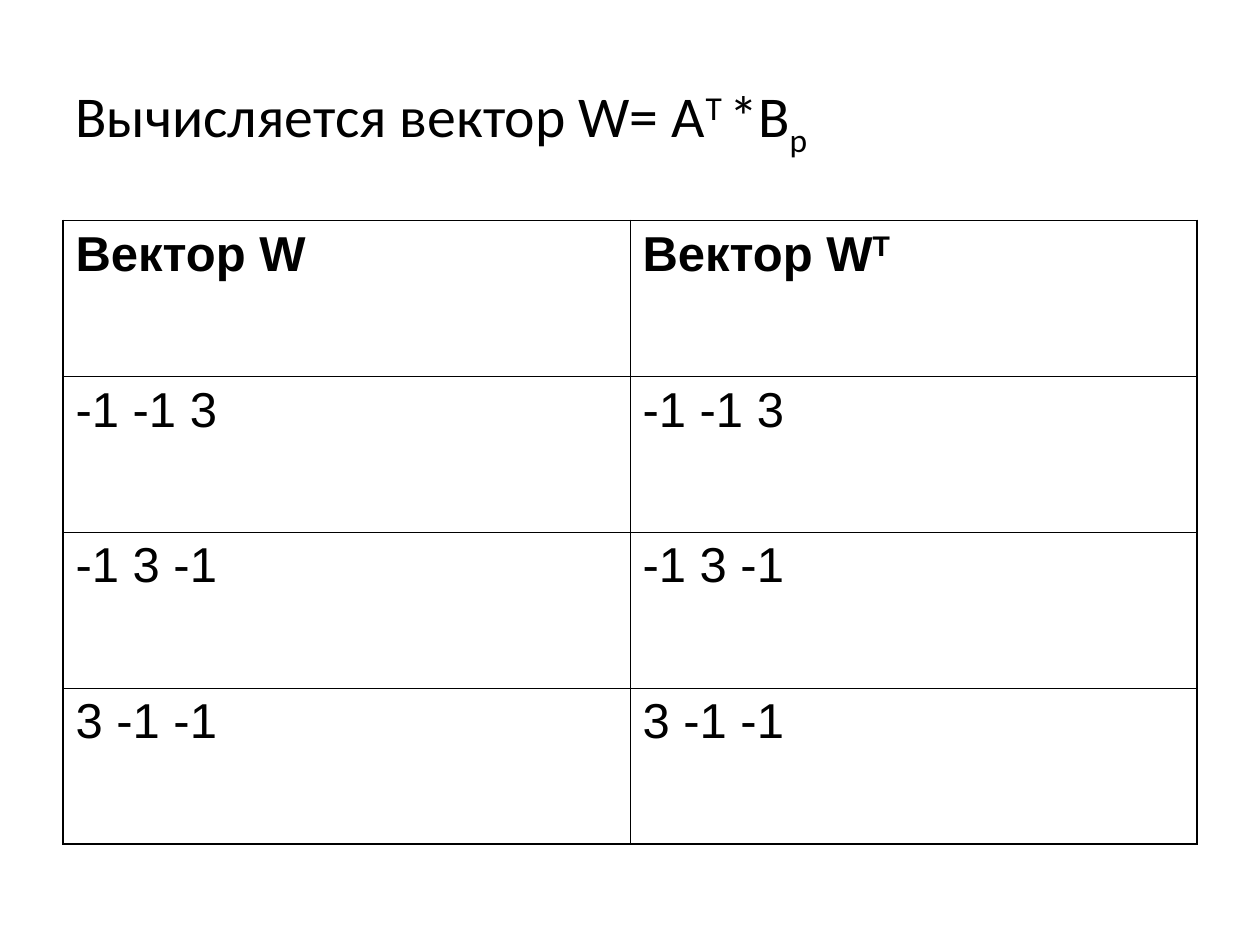
from lxml.etree import SubElement
from pptx import Presentation
from pptx.dml.color import RGBColor
from pptx.enum.text import MSO_ANCHOR, MSO_AUTO_SIZE, PP_ALIGN
from pptx.oxml.ns import qn
from pptx.util import Inches, Pt

BLACK = "000000"
OUTER, INNER = 1.08, 0.45
SUPER, SUB = 30, -25


def color(value):
    return RGBColor.from_string(value)


class SlideBuilder:
    def __init__(self, slide):
        self.s = slide
        self.title_font, self.table_font = "Calibri", "Arial"
        self.title_size, self.table_size = 33, 28

    def add_runs(self, p, runs, font, size, bold=False):
        """Add (text, baseline percent) pairs as runs."""
        for text, baseline in runs:
            r = p.add_run()
            r.text = text
            r.font.name, r.font.size, r.font.bold = font, Pt(size), bold
            r.font.color.rgb = color(BLACK)
            if baseline:
                r.font._element.set("baseline", str(baseline * 1000))

    def title(self, runs, left, top, width, height):
        sp = self.s.shapes.title
        sp.left, sp.top = Inches(left), Inches(top)
        sp.width, sp.height = Inches(width), Inches(height)
        tf = sp.text_frame
        tf.word_wrap = True
        tf.auto_size = MSO_AUTO_SIZE.NONE
        tf.vertical_anchor = MSO_ANCHOR.MIDDLE
        p = tf.paragraphs[0]
        p.alignment = PP_ALIGN.LEFT
        p.line_spacing = 0.9
        self.add_runs(p, runs, self.title_font, self.title_size)

    def borders(self, cell, widths):
        """Draw the left, right, top and bottom lines, widths in points."""
        tc_pr = cell._tc.get_or_add_tcPr()
        for i, (side, width) in enumerate(zip("LRTB", widths)):
            ln = SubElement(tc_pr, qn(f"a:ln{side}"), w=str(Pt(width)))
            fill = SubElement(ln, qn("a:solidFill"))
            SubElement(fill, qn("a:srgbClr"), val=BLACK)
            tc_pr.remove(ln)
            tc_pr.insert(i, ln)

    def table(self, rows, left, top, width, height):
        n_rows, n_cols = len(rows), len(rows[0])
        table = self.s.shapes.add_table(
            n_rows, n_cols, Inches(left), Inches(top), Inches(width), Inches(height)
        ).table
        table.first_row = table.horz_banding = False
        for i, row in enumerate(rows):
            for j, runs in enumerate(row):
                cell = table.cell(i, j)
                cell.fill.background()
                edges = (j == 0, j == n_cols - 1, i == 0, i == n_rows - 1)
                self.borders(cell, [OUTER if edge else INNER for edge in edges])
                p = cell.text_frame.paragraphs[0]
                self.add_runs(p, runs, self.table_font, self.table_size, bold=i == 0)


def main():
    prs = Presentation()
    prs.slide_width, prs.slide_height = Inches(10), Inches(7.5)
    builder = SlideBuilder(prs.slides.add_slide(prs.slide_layouts[5]))
    builder.title(
        [("Вычисляется вектор W= А", 0), ("T ", SUPER), ("*B", 0), ("p", SUB)],
        0.5, 0.3, 9, 1.25,
    )
    header = [[("Вектор W", 0)], [("Вектор W", 0), ("T", SUPER)]]
    vectors = ["-1 -1 3", "-1 3 -1", "3 -1 -1"]
    builder.table([header] + [[[(v, 0)]] * 2 for v in vectors], 0.5, 1.75, 9, 4.95)
    prs.save("out.pptx")


if __name__ == "__main__":
    main()
